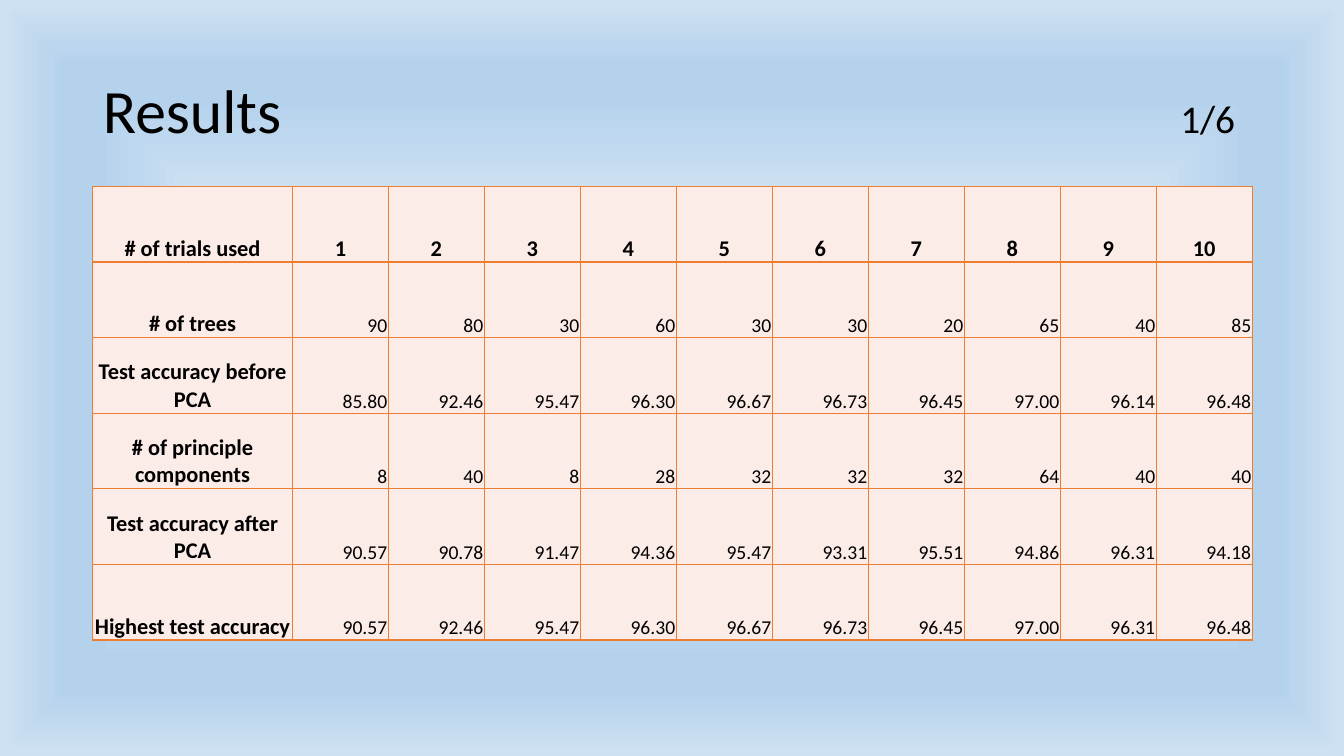
from lxml import etree
from pptx import Presentation
from pptx.dml.color import RGBColor
from pptx.enum import text
from pptx.oxml import parse_xml
from pptx.oxml.ns import nsdecls, qn
from pptx.util import Inches, Pt

COLORS = {"ink": "000000", "cell": "FCECE8", "border": "ED7D31",
          "glow": "FFFFFF", "sky": "B5D2EC", "edge": "CEE1F2"}

RESULTS = [
    ("# of trials used", "1 2 3 4 5 6 7 8 9 10"),
    ("# of trees", "90 80 30 60 30 30 20 65 40 85"),
    ("Test accuracy before PCA",
     "85.80 92.46 95.47 96.30 96.67 96.73 96.45 97.00 96.14 96.48"),
    ("# of principle components", "8 40 8 28 32 32 32 64 40 40"),
    ("Test accuracy after PCA",
     "90.57 90.78 91.47 94.36 95.47 93.31 95.51 94.86 96.31 94.18"),
    ("Highest test accuracy",
     "90.57 92.46 95.47 96.30 96.67 96.73 96.45 97.00 96.31 96.48"),
]


class ResultsSlide:
    font = "Calibri"
    left, width = 0.92, 11.5

    def __init__(self, prs):
        self.s = prs.slides.add_slide(prs.slide_layouts[5])

    def style(self, font, size, bold=False):
        font.name, font.size, font.bold = self.font, Pt(size), bold
        font.color.rgb = RGBColor.from_string(COLORS["ink"])

    def background(self, stops):
        """Fill with a gradient from the centre; stops are (percent, colour, opacity)."""
        gs = "".join(
            f'<a:gs pos="{pos * 1000}"><a:srgbClr val="{COLORS[name]}">'
            f'<a:alpha val="{opacity * 1000}"/></a:srgbClr></a:gs>'
            for pos, name, opacity in stops)
        bg = parse_xml(
            f'<p:bg {nsdecls("p", "a")}><p:bgPr><a:gradFill><a:gsLst>{gs}</a:gsLst>'
            '<a:path path="shape"><a:fillToRect l="50000" t="50000" r="50000" b="50000"/>'
            '</a:path></a:gradFill><a:effectLst/></p:bgPr></p:bg>')
        self.s.shapes.element.getparent().insert(0, bg)

    def title(self, heading, page):
        """Write the heading, with the page count at a right tab stop."""
        sp = self.s.shapes.title
        sp.left, sp.top = Inches(self.left), Inches(0.4)
        sp.width, sp.height = Inches(self.width), Inches(1.45)
        tf = sp.text_frame
        tf.word_wrap = True
        tf.vertical_anchor = text.MSO_ANCHOR.MIDDLE
        p = tf.paragraphs[0]
        p.alignment, p.line_spacing = text.PP_ALIGN.LEFT, 0.9
        tabs = etree.SubElement(p._p.get_or_add_pPr(), qn("a:tabLst"))
        etree.SubElement(tabs, qn("a:tab"), pos=str(Inches(11.23)), algn="r")
        for words, size in ((heading + "\t", 44), (page, 28)):
            r = p.add_run()
            r.text = words
            self.style(r.font, size)

    def borders(self, cell):
        tcPr = cell._tc.get_or_add_tcPr()
        for i, side in enumerate(("lnL", "lnR", "lnT", "lnB")):
            tcPr.insert(i, parse_xml(
                f'<a:{side} {nsdecls("a")} w="{Pt(1)}"><a:solidFill>'
                f'<a:srgbClr val="{COLORS["border"]}"/></a:solidFill></a:{side}>'))

    def cell(self, cell, words, header):
        cell.fill.solid()
        cell.fill.fore_color.rgb = RGBColor.from_string(COLORS["cell"])
        self.borders(cell)
        cell.margin_left = cell.margin_right = cell.margin_top = Inches(0.01)
        cell.margin_bottom = 0
        cell.vertical_anchor = text.MSO_ANCHOR.BOTTOM
        p = cell.text_frame.paragraphs[0]
        p.text = words
        p.alignment = text.PP_ALIGN.CENTER if header else text.PP_ALIGN.RIGHT
        self.style(p.font, 16 if header else 14, header)

    def table(self, rows, top, height, label_width):
        """Add a table whose first row and first column are headers."""
        grid = [[label, *values.split()] for label, values in rows]
        columns = len(grid[0])
        table = self.s.shapes.add_table(
            len(grid), columns, Inches(self.left), Inches(top),
            Inches(self.width), Inches(height)).table
        table.first_row = table.horz_banding = False
        value_width = (self.width - label_width) / (columns - 1)
        for j, column in enumerate(table.columns):
            column.width = Inches(value_width if j else label_width)
        for i, row in enumerate(grid):
            for j, words in enumerate(row):
                self.cell(table.cell(i, j), words, i == 0 or j == 0)


def main():
    prs = Presentation()
    prs.slide_width, prs.slide_height = Inches(13.33), Inches(7.5)
    slide = ResultsSlide(prs)
    slide.background([(0, "glow", 60), (74, "sky", 100),
                      (83, "sky", 100), (100, "edge", 100)])
    slide.title("Results", "1/6")
    slide.table(RESULTS, top=1.85, height=4.5, label_width=1.98)
    prs.save("out.pptx")


if __name__ == "__main__":
    main()
